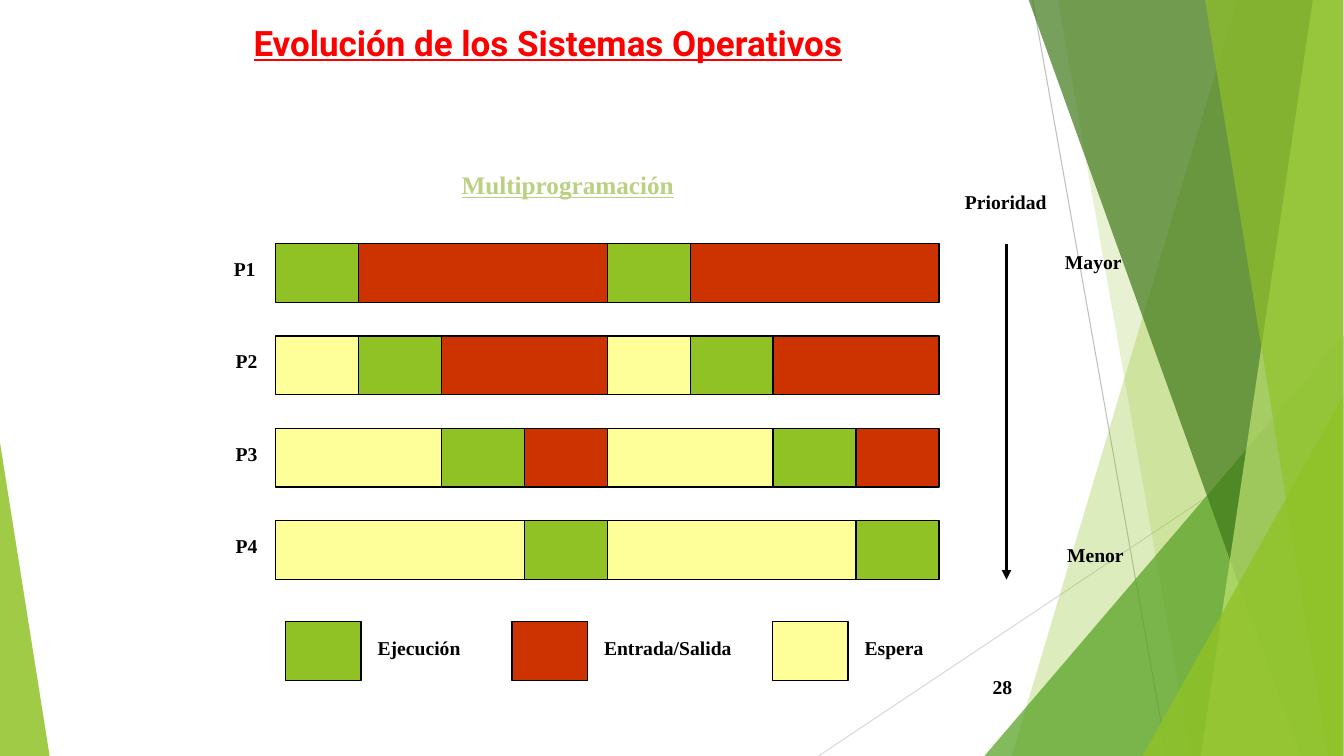
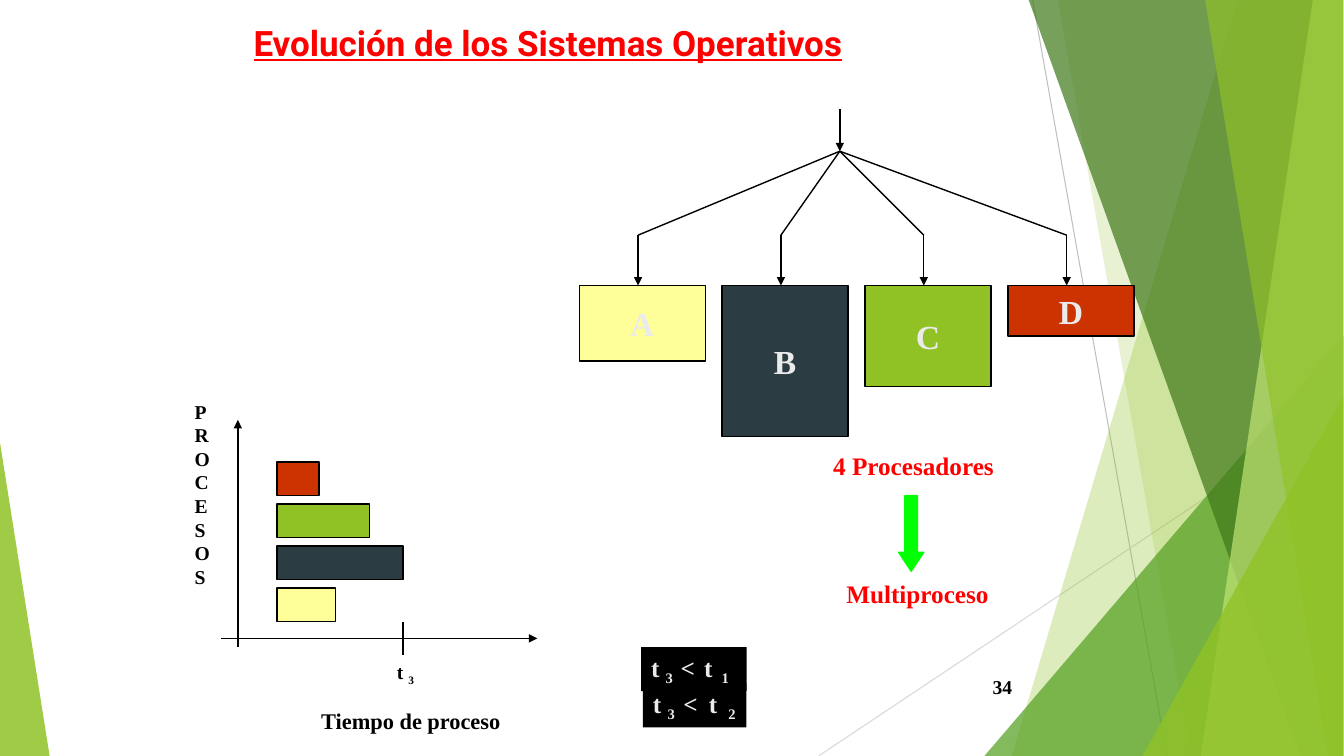
from lxml import etree
from pptx import Presentation
from pptx import util as u
from pptx.dml.color import RGBColor
from pptx.enum import shapes as kinds, text as txt
from pptx.oxml.ns import qn

Pt = u.Pt
BLACK, RED, PALE = "000000", "FF0000", "EBEBEB"
RUNNING, IN_OUT, WAITING, SLATE = "90C226", "CC3300", "FFFF99", "2C3C43"
ARROW_GREEN = "03FF03"
WIDTH, HEIGHT = 960.5, 540
EDGE = 960

TITLE = "Evolución de los Sistemas Operativos"
TITLE_FORMAT = {"size": 25, "color": RED, "name": "Roboto", "underline": True}
TITLE_BOX = (174, 12, 612, 90)
PAGE_BOX = (676.4, 476, 54, 29)

BACK_LINES = [((738, 0, 834, 540), "BFBFBF"), ((960, 290, 585, 540), "D9D9D9")]
BACK_FACETS = [
    ("band", (884.2, 723), "90C226", 30),
    ("band", (756, 851), "90C226", 20),
    ("triangle", (703.5, 240, 256.5, 300, 1), "54A021", 72),
    ("band", (735.2, 929.5), "3F7819", 70),
    ("band", (938.2, 858.2), "C0E474", 70),
    ("band", (861.2, 949), "90C226", 65),
    ("triangle", (816.5, 283, 143.5, 257, 1), "90C226", 80),
    ("triangle", (0, 316, 35.5, 224, 0), "90C226", 85),
]

PROCESSES = [("P1", 160), ("P2", 161.3), ("P3", 161.3), ("P4", 161.3)]
CYCLES = 2
LEGEND = [
    ("Ejecución", RUNNING, 204, 76),
    ("Entrada/Salida", IN_OUT, 365.8, 108),
    ("Espera", WAITING, 552, 62),
]
PRIORITY_LABELS = [
    ("Prioridad", (682.5, 132, 73, 24.5)),
    ("Mayor", (754, 175, 57, 24.5)),
    ("Menor", (755.5, 384, 57, 24.5)),
]

JOBS = [
    ("A", WAITING, 54, 42),
    ("B", SLATE, 108, 90),
    ("C", RUNNING, 72, 66),
    ("D", IN_OUT, 36, 30),
]
AXES = [(170, 462, 170, 300), (158, 456, 384, 456)]
CAPTIONS = [
    ("Tiempo de proceso", (222.5, 501.5, 142.5, 26.5), 16, BLACK),
    ("t _3", (276.5, 468, 26.5, 26.5), 14, BLACK),
    ("4 Procesadores", (588.4, 318, 130, 29), 18, RED),
    ("Multiproceso", (597.8, 409.3, 116, 29), 18, RED),
]
COMPARISONS = [
    ("t _3_ < t _2", (459.5, 488, 74, 31.5), 170),
    ("t _3_ < t _1", (458.2, 462.2, 75.5, 31.5), 100),
]


def rgb(color):
    return RGBColor.from_string(color)


def points(values):
    return [Pt(value) for value in values]


def write(frame, content, size=14, color=BLACK, align=txt.PP_ALIGN.LEFT, tracking=0, **style):
    paragraph = frame.paragraphs[0]
    paragraph.alignment = align
    look = {"size": Pt(size), "name": "Times New Roman", "bold": True, **style}
    for index, part in enumerate(content.split("_")):
        run = paragraph.add_run()
        run.text = part
        for key, value in look.items():
            setattr(run.font, key, value)
        run.font.color.rgb = rgb(color)
        properties = run._r.get_or_add_rPr()
        if index % 2:
            properties.set("baseline", "-25000")
        elif index and tracking:
            properties.set("spc", str(tracking))


def label(slide, content, box, wrap=False, **look):
    frame = slide.shapes.add_textbox(*points(box)).text_frame
    frame.word_wrap = wrap
    frame.auto_size = txt.MSO_AUTO_SIZE.SHAPE_TO_FIT_TEXT
    write(frame, content, **look)


def paint(shape, fill, outline=None, alpha=None):
    shape.shadow.inherit = False
    shape.fill.solid()
    shape.fill.fore_color.rgb = rgb(fill)
    if alpha is not None:
        swatch = next(shape.element.spPr.iter(qn("a:srgbClr")))
        etree.SubElement(swatch, qn("a:alpha")).set("val", str(alpha * 1000))
    if outline:
        shape.line.color.rgb = rgb(outline)
        shape.line.width = Pt(1)
    else:
        shape.line.fill.background()
    return shape


def block(slide, box, fill, outline=BLACK, preset=kinds.MSO_SHAPE.RECTANGLE):
    return paint(slide.shapes.add_shape(preset, *points(box)), fill, outline)


def line(slide, ends, color=BLACK, width=1, arrow=False):
    connector = slide.shapes.add_connector(kinds.MSO_CONNECTOR.STRAIGHT, *points(ends))
    connector.line.color.rgb = rgb(color)
    connector.line.width = Pt(width)
    if arrow:
        outline = connector.element.spPr.find(qn("a:ln"))
        etree.SubElement(outline, qn("a:tailEnd")).set("type", "triangle")
    etree.SubElement(connector.element.spPr, qn("a:effectLst"))
    return connector


def facet(slide, kind, geometry, color, alpha):
    if kind == "triangle":
        *box, apex = geometry
        shape = slide.shapes.add_shape(kinds.MSO_SHAPE.ISOSCELES_TRIANGLE, *points(box))
        shape.adjustments[0] = apex
    else:
        top, bottom = geometry
        outline = slide.shapes.build_freeform(Pt(top), 0)
        corners = [(EDGE, 0), (EDGE, HEIGHT), (bottom, HEIGHT)]
        outline.add_line_segments([points(corner) for corner in corners], close=True)
        shape = outline.convert_to_shape()
    return paint(shape, color, alpha=alpha)


def build_backdrop(slide, layout):
    parts = [line(slide, ends, color, 0.75) for ends, color in BACK_LINES]
    parts += [facet(slide, *details) for details in BACK_FACETS]
    for index, part in enumerate(parts):
        part.element.xpath(".//p:cNvPr")[0].set("id", str(100 + index))
        layout.shapes.element.insert(2 + index, part.element)


def set_up_title(layout):
    heading = layout.placeholders[0]
    for key, value in zip(("left", "top", "width", "height"), points(TITLE_BOX)):
        setattr(heading, key, value)
    heading.text_frame.vertical_anchor = txt.MSO_ANCHOR.TOP


def new_slide(deck, layout, page):
    slide = deck.slides.add_slide(layout)
    write(slide.shapes.title.text_frame, TITLE, **TITLE_FORMAT)
    number = slide.shapes.add_textbox(*points(PAGE_BOX)).text_frame
    number.word_wrap = True
    number.vertical_anchor = txt.MSO_ANCHOR.MIDDLE
    write(number, page, align=txt.PP_ALIGN.RIGHT)
    return slide


def draw_multiprogramming(slide):
    left, top, unit, height, pitch = 197.1, 174, 59.25, 42, 66
    label(slide, "Multiprogramación", (322.8, 117.5, 166, 29), size=18, color="B9D181", underline=True)
    for row, (process, label_x) in enumerate(PROCESSES):
        y = top + row * pitch
        label(slide, process, (label_x, y + 6, 34, 24.5))
        phases = [(WAITING, row), (RUNNING, 1), (IN_OUT, len(PROCESSES) - 1 - row)]
        x = left
        for color, span in phases * CYCLES:
            if span:
                block(slide, (x, y, span * unit, height), color)
                x += span * unit
    line(slide, (719.3, 174, 719.3, 414), width=2.25, arrow=True)
    for content, box in PRIORITY_LABELS:
        label(slide, content, box)
    for content, color, x, width in LEGEND:
        block(slide, (x, 444, 54, height), color)
        label(slide, content, (x + 58.8, 451, width, 24.5))


def draw_multiprocessing(slide):
    hub_x, hub_y, bend_y, box_top = 600.2, 108, 168, 204
    line(slide, (hub_x, 78, hub_x, hub_y), arrow=True)
    for index, (job, color, height, duration) in enumerate(JOBS):
        x = 414 + index * 102.1
        processor = block(slide, (x, box_top, 90, height), color)
        processor.text_frame.vertical_anchor = txt.MSO_ANCHOR.MIDDLE
        write(processor.text_frame, job, size=24, color=PALE, align=txt.PP_ALIGN.CENTER)
        line(slide, (hub_x, hub_y, x + 42, bend_y))
        line(slide, (x + 42, bend_y, x + 42, box_top), arrow=True)
        block(slide, (198, 420 - index * 30, duration, 24), color)
    for ends in AXES:
        line(slide, ends, arrow=True)
    line(slide, (288, 444, 288, 468))
    label(slide, "PROCESOS", (132, 282, 26, 142), wrap=True)
    for content, box, size, color in CAPTIONS:
        label(slide, content, box, size=size, color=color)
    arrow = block(slide, (642.2, 354, 18, 54), ARROW_GREEN, ARROW_GREEN, kinds.MSO_SHAPE.DOWN_ARROW)
    arrow.adjustments[0], arrow.adjustments[1] = 0.5, 0.75
    for content, box, tracking in COMPARISONS:
        comparison = block(slide, box, BLACK, None)
        comparison.text_frame.word_wrap = True
        comparison.text_frame.vertical_anchor = txt.MSO_ANCHOR.TOP
        write(comparison.text_frame, content, size=18, color=PALE, tracking=tracking)


def main():
    deck = Presentation()
    deck.slide_width, deck.slide_height = Pt(WIDTH), Pt(HEIGHT)
    layout = deck.slide_layouts[5]
    set_up_title(layout)
    pages = [("28", draw_multiprogramming), ("34", draw_multiprocessing)]
    for index, (page, draw) in enumerate(pages):
        slide = new_slide(deck, layout, page)
        if index == 0:
            build_backdrop(slide, layout)
        draw(slide)
    deck.save("out.pptx")


if __name__ == "__main__":
    main()
